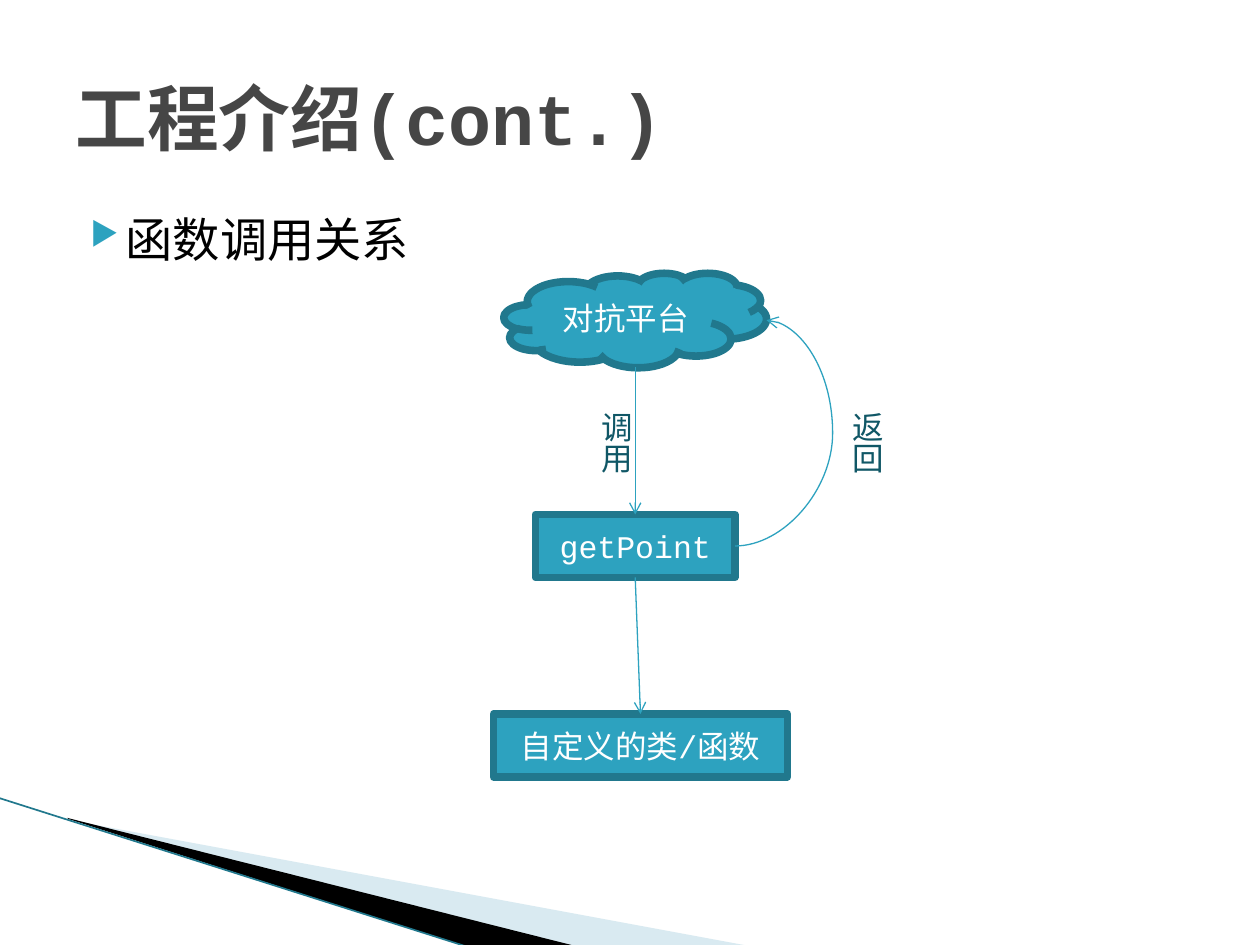
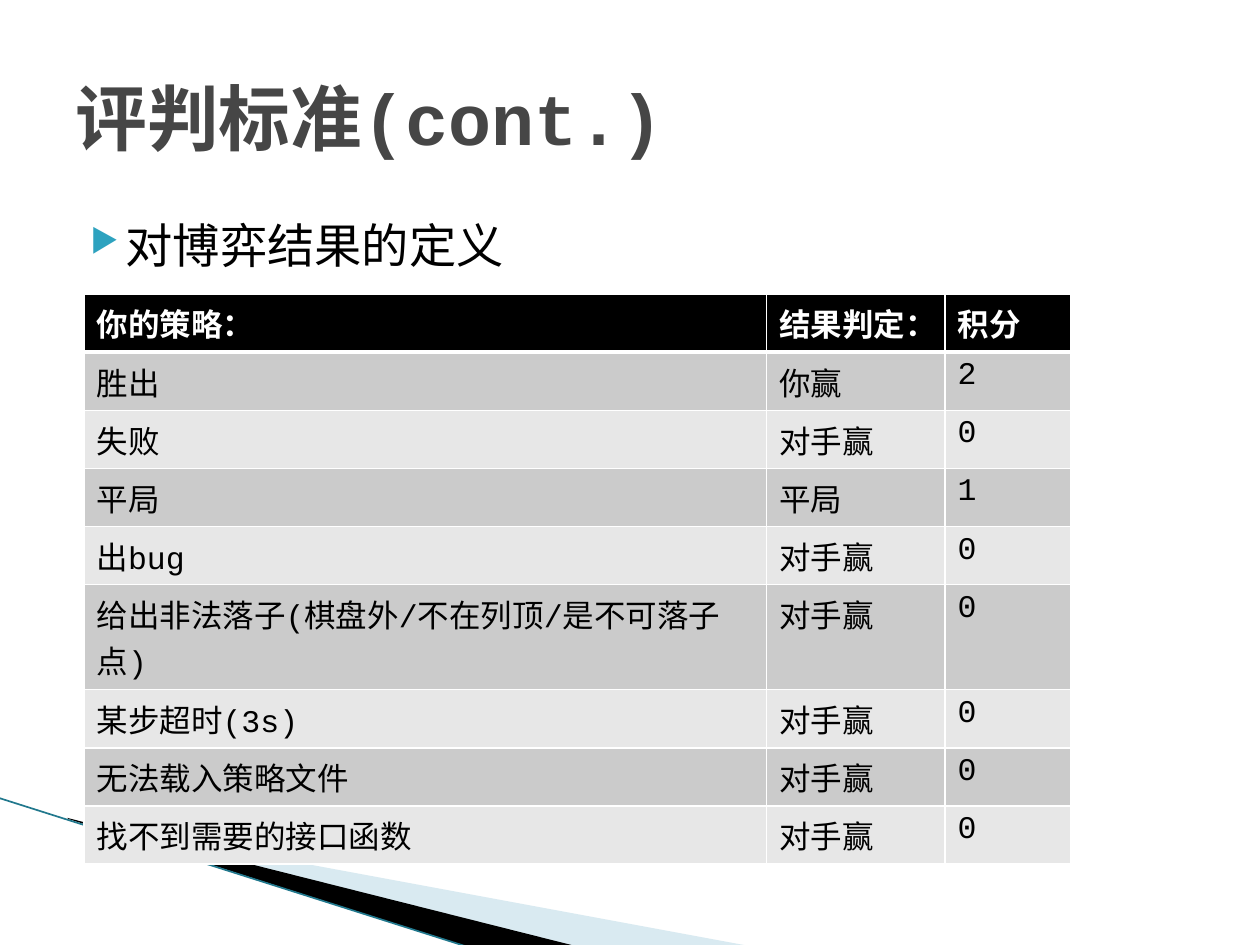
from lxml import etree
from pptx import Presentation
from pptx import util as u
from pptx.dml.color import RGBColor
from pptx.enum import lang, shapes, text
from pptx.oxml.ns import qn

# Palette
WHITE = RGBColor(0xFF, 0xFF, 0xFF)
BLACK = RGBColor(0x00, 0x00, 0x00)
TITLE_GREY = RGBColor(0x46, 0x46, 0x46)
TEAL = RGBColor(0x2D, 0xA2, 0xBF)
DARK_TEAL = RGBColor(0x21, 0x78, 0x8D)
LABEL_TEAL = RGBColor(0x10, 0x57, 0x66)
PALE_BLUE = RGBColor(0xA0, 0xCB, 0xDC)
ROW_FILLS = (RGBColor(0xCB, 0xCB, 0xCB), RGBColor(0xE7, 0xE7, 0xE7))

FONT = "Courier New"
BULLET_FONT = "OpenSymbol"
COLUMNS, ROWS = 120, 90  # the grid has twelve units to the inch
UNIT = u.Inches(10) // COLUMNS
ONE_LINE, TWO_LINES = 5.54, 10  # table row heights

RESULTS = [
    ("你的策略：", "结果判定：", "积分"),
    ("胜出", "你赢", "2"),
    ("失败", "对手赢", "0"),
    ("平局", "平局", "1"),
    ("出bug", "对手赢", "0"),
    ("给出非法落子(棋盘外/不在列顶/是不可落子点)", "对手赢", "0"),
    ("某步超时(3s)", "对手赢", "0"),
    ("无法载入策略文件", "对手赢", "0"),
    ("找不到需要的接口函数", "对手赢", "0"),
]


def grid(*units):
    """Turn grid units into lengths."""
    return [u.Emu(round(unit * UNIT)) for unit in units]


def add_xml(parent, tag, **attributes):
    return etree.SubElement(parent, qn(tag), attributes)


def write(frame, words, size=18, color=WHITE, bold=False, align=None,
          anchor=text.MSO_ANCHOR.TOP):
    """Put one formatted paragraph in a text frame and return it."""
    frame.vertical_anchor = anchor
    para = frame.paragraphs[0]
    para.alignment = align
    span = para.add_run()
    span.text = words
    font = span.font
    font.name, font.size, font.bold = FONT, u.Pt(size), bold
    font.color.rgb = color
    font.language_id = lang.MSO_LANGUAGE_ID.SIMPLIFIED_CHINESE
    return para


class Painter:
    """Holds the deck, its shared look and the current slide."""

    def __init__(self):
        self.deck = Presentation()
        self.deck.slide_width, self.deck.slide_height = grid(COLUMNS, ROWS)
        self.page = None

    def new_page(self, title, topic, topic_row):
        self.page = self.deck.slides.add_slide(self.deck.slide_layouts[6])
        self.corner_band()
        self.bullet(topic, topic_row)
        frame = self.text_box(6, 3.6, 108, 15)
        write(frame, title, size=41, color=TITLE_GREY, bold=True,
              anchor=text.MSO_ANCHOR.MIDDLE)

    def corner_band(self):
        pale = self.outline(PALE_BLUE, (6.6, 78.1), (71.4, 90.1),
                            (54.7, 90.1), (6.6, 78))
        color = pale.fill._xPr.find(qn("a:solidFill"))[0]
        add_xml(color, "a:alpha", val="40000")
        self.outline(BLACK, (6.4, 77.9), (54.8, 90.1), (44.6, 90.2), (6.5, 78))
        self.line((-0.1, 76), (44.6, 90.2), color=DARK_TEAL, width=0.95)

    def outline(self, color, start, *corners):
        builder = self.page.shapes.build_freeform(*grid(*start), scale=1.0)
        builder.add_line_segments([grid(*corner) for corner in corners])
        shape = builder.convert_to_shape()
        shape.shadow.inherit = False
        shape.fill.solid()
        shape.fill.fore_color.rgb = color
        shape.line.fill.background()
        return shape

    def text_box(self, left, top, width, height):
        box = self.page.shapes.add_textbox(*grid(left, top, width, height))
        box.text_frame.word_wrap = True
        return box.text_frame

    def bullet(self, words, row):
        frame = self.text_box(6, row, 108, 59.4)
        para = write(frame, words, size=27, color=BLACK)
        props = para._p.get_or_add_pPr()
        props.set("marL", str(u.Inches(0.4)))
        props.set("indent", str(u.Inches(-0.28)))
        add_xml(add_xml(props, "a:buClr"), "a:srgbClr", val=str(TEAL))
        add_xml(props, "a:buSzPct", val="68000")
        add_xml(props, "a:buFont", typeface=BULLET_FONT)
        add_xml(props, "a:buChar", char="▶")

    def node(self, kind, words, left, top, width, height):
        shape = self.page.shapes.add_shape(
            kind, *grid(left, top, width, height))
        shape.shadow.inherit = False
        shape.fill.solid()
        shape.fill.fore_color.rgb = TEAL
        shape.line.color.rgb = DARK_TEAL
        shape.line.width = u.Pt(4.33)
        write(shape.text_frame, words, align=text.PP_ALIGN.CENTER,
              anchor=text.MSO_ANCHOR.MIDDLE)

    def line(self, start, end, color=TEAL, width=0.75, arrow=False, bend=None):
        kinds = shapes.MSO_CONNECTOR
        connector = self.page.shapes.add_connector(
            kinds.STRAIGHT if bend is None else kinds.CURVE,
            *grid(*start, *end))
        connector.line.color.rgb = color
        connector.line.width = u.Pt(width)
        props = connector._element.spPr
        if arrow:
            add_xml(props.find(qn("a:ln")), "a:tailEnd", type="arrow")
        if bend is not None:
            guides = props.find(qn("a:prstGeom")).find(qn("a:avLst"))
            add_xml(guides, "a:gd", name="adj1",
                    fmla=f"val {round(bend * 100000)}")
        add_xml(props, "a:effectLst")

    def upright_label(self, words, left, top):
        frame = self.text_box(left, top, 6.1, 7.3)
        frame.word_wrap = False
        frame.auto_size = text.MSO_AUTO_SIZE.SHAPE_TO_FIT_TEXT
        frame._txBody.bodyPr.set("vert", "eaVert")
        write(frame, words, color=LABEL_TEAL)

    def table(self, records, left, top, widths, heights):
        area = grid(left, top, sum(widths), sum(heights))
        table = self.page.shapes.add_table(
            len(records), len(widths), *area).table
        for column, width in zip(table.columns, grid(*widths)):
            column.width = width
        for row, height in zip(table.rows, grid(*heights)):
            row.height = height
        for number, record in enumerate(records):
            header = number == 0
            for cell, words in zip(table.rows[number].cells, record):
                write(cell.text_frame, words, bold=header,
                      color=WHITE if header else BLACK)
                self.cell_borders(cell, top=3 if number == 1 else 1,
                                  bottom=3 if header else 1)
                cell.fill.solid()
                cell.fill.fore_color.rgb = (
                    BLACK if header else ROW_FILLS[(number - 1) % 2])

    def cell_borders(self, cell, top, bottom):
        props = cell._tc.get_or_add_tcPr()
        for side, width in zip("LRTB", (1, 1, top, bottom)):
            edge = add_xml(props, f"a:ln{side}", w=str(u.Pt(width)))
            add_xml(add_xml(edge, "a:solidFill"), "a:srgbClr", val=str(WHITE))


def call_flow(painter):
    painter.new_page("工程介绍(cont.)", "函数调用关系", 19.4)
    # Platform, entry point and own code
    kinds = shapes.MSO_SHAPE
    painter.node(kinds.RECTANGLE, "getPoint", 51, 49, 19, 6)
    painter.node(kinds.RECTANGLE, "自定义的类/函数", 47, 68, 28, 6)
    painter.node(kinds.CLOUD, "对抗平台", 48, 26, 25, 9)
    # Calls go down, the result curves back up
    painter.line((60.5, 35), (60.5, 49), arrow=True)
    painter.line((60.5, 55), (61, 68), arrow=True)
    painter.line((70, 52), (73, 30.5), arrow=True, bend=3.1)
    painter.upright_label("调用", 55, 38)
    painter.upright_label("返回", 78.9, 38)


def scoring(painter):
    painter.new_page("评判标准(cont.)", "对博弈结果的定义", 20)
    # Only the longest rule needs a second line
    longest = max(RESULTS, key=lambda record: len(record[0]))
    heights = [TWO_LINES if record is longest else ONE_LINE
               for record in RESULTS]
    painter.table(RESULTS, 8, 28, widths=(65, 17, 12), heights=heights)


def main():
    painter = Painter()
    call_flow(painter)
    scoring(painter)
    painter.deck.save("out.pptx")


if __name__ == "__main__":
    main()
